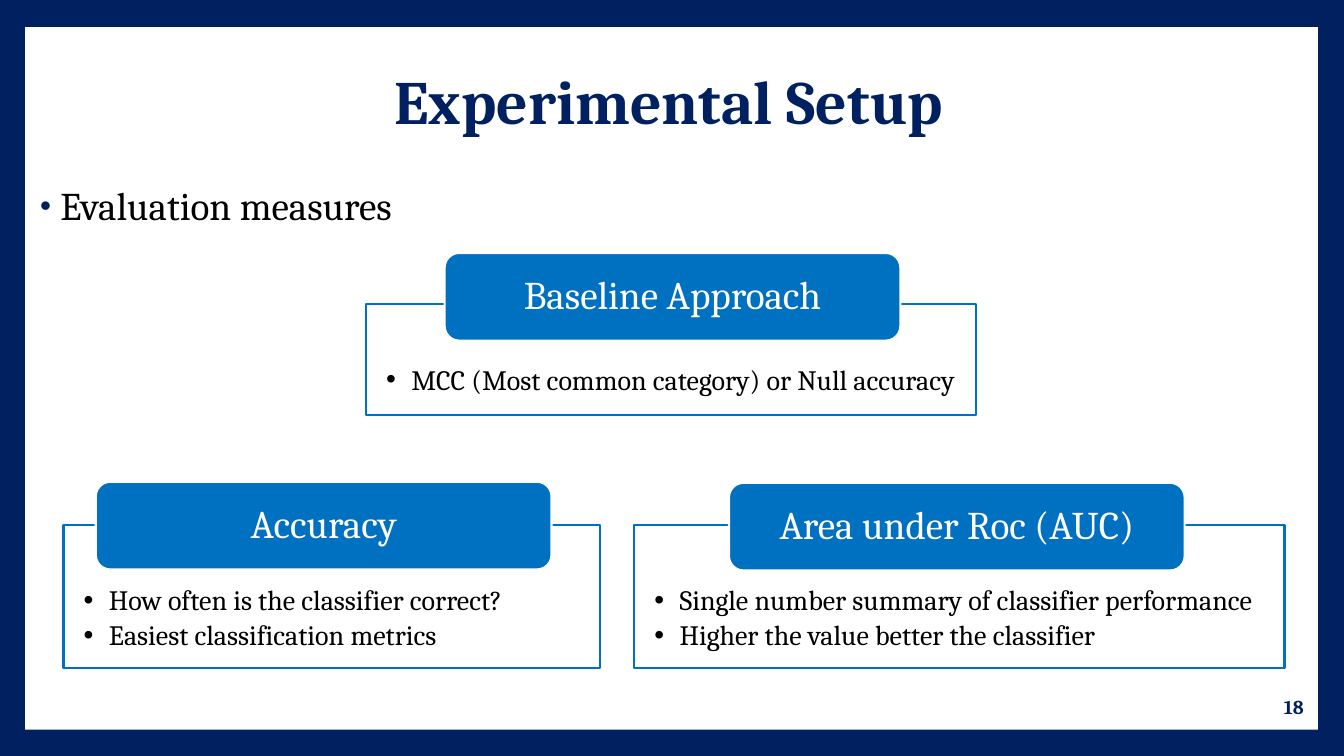
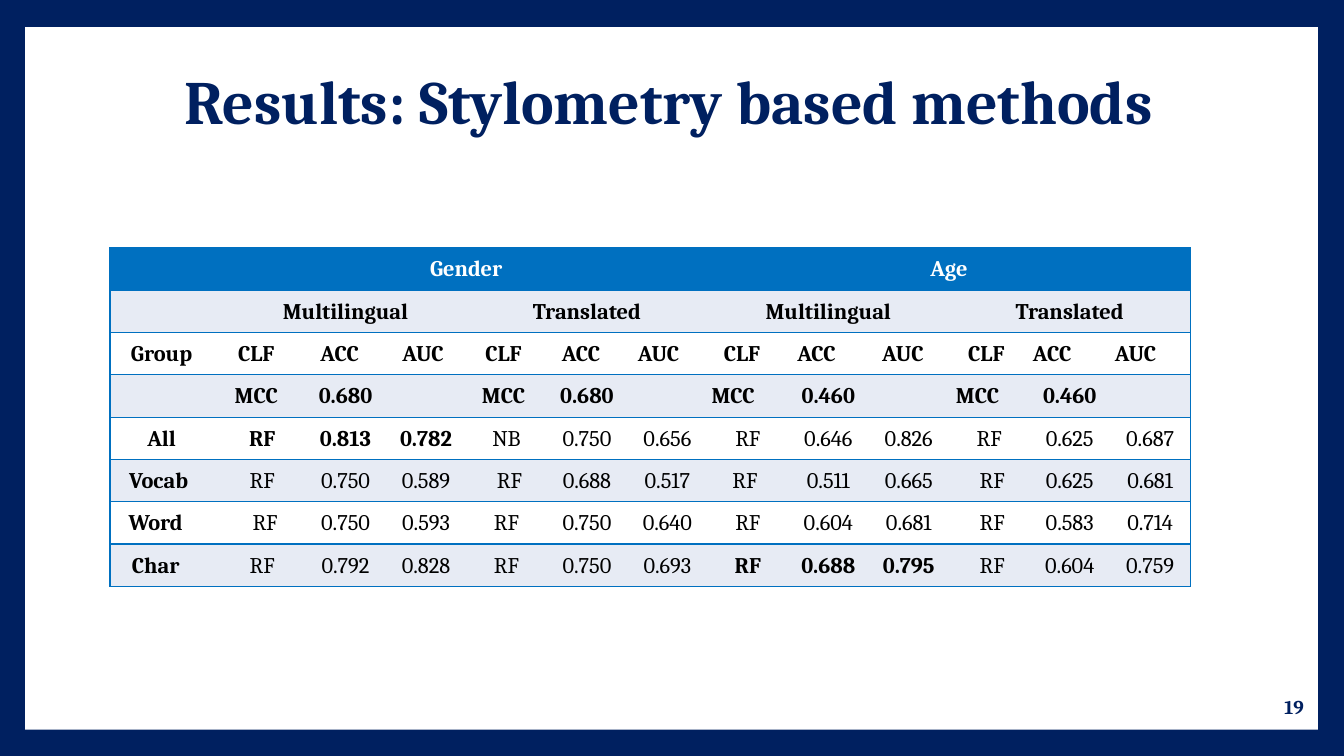
"""Build two slides: evaluation measures and a stylometry results table."""
from dataclasses import dataclass
from typing import Iterable

from lxml.etree import SubElement
from pptx import Presentation
from pptx.dml.color import RGBColor
from pptx.enum.shapes import MSO_SHAPE as SHAPE
from pptx.enum.text import MSO_ANCHOR as ANCHOR, PP_ALIGN as ALIGN
from pptx.oxml.ns import qn
from pptx.util import Inches, Pt

COLORS = {
    "navy": "002060",
    "blue": "0070C0",
    "white": "FFFFFF",
    "black": "000000",
    "band": "E7EBF4",
}
FONT = "Cambria"
NO_GRID_STYLE = "{2D5ABB26-0587-4C30-8999-92F81FD0307C}"
PILL_W, PILL_H = 4.52, 0.87
SPACE_W = 0.058
CELL_MARGIN = 0.01


@dataclass(frozen=True)
class Card:
    title: str
    points: tuple[str, ...]
    box: tuple[float, float, float, float]
    pill: tuple[float, float]


@dataclass(frozen=True)
class Row:
    cells: tuple[str, ...]
    span: int = 1
    bold: Iterable[int] = (0,)
    pads: tuple[int, ...] = (0,) * 13


CARDS = (
    Card("Baseline Approach", ("MCC (Most common category) or Null accuracy",),
         (3.63, 3.02, 6.05, 1.1), (4.41, 2.51)),
    Card("Accuracy",
         ("How often is the classifier correct?", "Easiest classification metrics"),
         (0.63, 5.21, 5.32, 1.42), (0.95, 4.78)),
    Card("Area under Roc (AUC)",
         ("Single number summary of classifier performance",
          "Higher the value better the classifier"),
         (6.29, 5.21, 6.45, 1.42), (7.23, 4.79)),
)

ROWS = (
    Row(("", "Gender", "Age"), 6, range(13)),
    Row(("",) + ("Multilingual", "Translated") * 2, 3, range(13)),
    Row(("Group",) + ("CLF", "ACC", "AUC") * 4, 1, range(13),
        (2, 3, 2, 1, 1, 2, 3, 2, 4, 2, 1, 6, 5)),
    Row(("", "MCC", "0.680", "", "MCC", "0.680", "",
         "MCC", "0.460", "", "MCC", "0.460", ""), 1, range(13),
        (0, 3, 0, 0, 1, 0, 0, 5, 0, 0, 4, 0, 0)),
    Row(("All", "RF", "0.813", "0.782", "NB", "0.750", "0.656",
         "RF", "0.646", "0.826", "RF", "0.625", "0.687"), 1, range(4),
        (2, 1, 0, 0, 0, 0, 0, 0, 0, 0, 0, 0, 0)),
    Row(("Vocab", "RF", "0.750", "0.589", "RF", "0.688", "0.517",
         "RF", "0.511", "0.665", "RF", "0.625", "0.681"),
        pads=(3, 1, 0, 0, -1, 0, 0, 1, 0, 0, -1, 0, 0)),
    Row(("Word", "RF", "0.750", "0.593", "RF", "0.750", "0.640",
         "RF", "0.604", "0.681", "RF", "0.583", "0.714"),
        pads=(4, 0, 0, 0, 0, 0, 0, 0, 0, 0, -1, 0, 0)),
    Row(("Char", "RF", "0.792", "0.828", "RF", "0.750", "0.693",
         "RF", "0.688", "0.795", "RF", "0.604", "0.759"), 1, (0, 7, 8, 9),
        (4, 1, 0, 0, 0, 0, 0, 0, 0, 0, -1, 0, 0)),
)


def rgb(name: str) -> RGBColor:
    return RGBColor.from_string(COLORS[name])


def add_bullet(p, indent: float, color: str, percent: int) -> None:
    pPr = p._p.get_or_add_pPr()
    pPr.set("marL", str(Inches(0.25)))
    pPr.set("indent", str(-Inches(indent)))
    clr = SubElement(pPr, qn("a:buClr"))
    SubElement(clr, qn("a:srgbClr"), val=COLORS[color])
    SubElement(pPr, qn("a:buSzPct"), val=str(percent * 1000))
    SubElement(pPr, qn("a:buFont"), typeface="Arial")
    SubElement(pPr, qn("a:buChar"), char="•")


def write_text(tf, *lines: str, size: float, color: str = "black", bold: bool = False,
               align=ALIGN.LEFT, spacing: float = 0.9, after: float = 0,
               bullet: tuple[float, str, int] | None = None) -> None:
    for i, line in enumerate(lines):
        p = tf.add_paragraph() if i else tf.paragraphs[0]
        p.alignment, p.line_spacing = align, spacing
        p.space_before, p.space_after = Pt(0), Pt(after)
        if bullet:
            add_bullet(p, *bullet)
        r = p.add_run()
        r.text = line
        r.font.name, r.font.size, r.font.bold = FONT, Pt(size), bold
        r.font.color.rgb = rgb(color)


def set_frame(tf, anchor, margins: tuple[float, float, float, float]) -> None:
    tf.word_wrap = True
    tf.vertical_anchor = anchor
    tf.margin_left, tf.margin_top, tf.margin_right, tf.margin_bottom = map(Inches, margins)


def add_text(s, box: tuple[float, ...], text: str, anchor=ANCHOR.MIDDLE, **fmt) -> None:
    tf = s.shapes.add_textbox(*map(Inches, box)).text_frame
    set_frame(tf, anchor, (0.1, 0.05, 0.1, 0.05))
    write_text(tf, text, **fmt)


def add_block(s, kind, box: tuple[float, ...], fill: str, line: str | None = None):
    sp = s.shapes.add_shape(kind, *map(Inches, box))
    sp.shadow.inherit = False
    sp.fill.solid()
    sp.fill.fore_color.rgb = rgb(fill)
    if line:
        sp.line.color.rgb = rgb(line)
        sp.line.width = Pt(1.5)
    else:
        sp.line.fill.background()
    return sp


def add_slide(prs, title: str, number: int):
    s = prs.slides.add_slide(prs.slide_layouts[6])
    add_block(s, SHAPE.RECTANGLE, (0.25, 0.27, 12.82, 6.97), "white")
    add_text(s, (0.25, 0.4, 12.77, 1.28), title, size=44, color="navy", bold=True,
             align=ALIGN.CENTER)
    add_text(s, (11.16, 6.81, 1.87, 0.4), str(number), size=14, color="navy", bold=True,
             align=ALIGN.RIGHT, spacing=1.0)
    return s


def add_card(s, card: Card) -> None:
    box = add_block(s, SHAPE.RECTANGLE, card.box, "white", "blue")
    set_frame(box.text_frame, ANCHOR.TOP, (0.2, 0.61, 0, 0.16))
    write_text(box.text_frame, *card.points, size=20, after=3, bullet=(0.25, "black", 100))
    pill = add_block(s, SHAPE.ROUNDED_RECTANGLE, (*card.pill, PILL_W, PILL_H), "blue", "white")
    set_frame(pill.text_frame, ANCHOR.MIDDLE, (0.21, 0.04, 0.21, 0.04))
    write_text(pill.text_frame, card.title, size=28, color="white", align=ALIGN.CENTER)


def style_cell(cell, fill: str, edges: str) -> None:
    tcPr = cell._tc.get_or_add_tcPr()
    for edge in edges:
        ln = SubElement(tcPr, qn(f"a:ln{edge}"), w=str(Pt(1)))
        solid = SubElement(ln, qn("a:solidFill"))
        SubElement(solid, qn("a:srgbClr"), val=COLORS["blue"])
    cell.fill.solid()
    cell.fill.fore_color.rgb = rgb(fill)
    cell.vertical_anchor = ANCHOR.MIDDLE
    cell.margin_left = cell.margin_right = cell.margin_top = Inches(CELL_MARGIN)
    cell.margin_bottom = 0


def add_results(s, rows: tuple[Row, ...]) -> None:
    n_cols = 13
    first_w, row_h, width = 1.14, 0.42, 10.72
    frame = s.shapes.add_table(len(rows), n_cols, Inches(1.09), Inches(2.46),
                               Inches(width), Inches(row_h * len(rows)))
    table = frame.table
    table._tbl.tblPr.find(qn("a:tableStyleId")).text = NO_GRID_STYLE
    for i, col in enumerate(table.columns):
        col.width = Inches((width - first_w) / (n_cols - 1) if i else first_w)
    for y, row in enumerate(rows):
        table.rows[y].height = Inches(row_h)
        fill = "blue" if y == 0 else "band" if y % 2 else "white"
        starts = [0, *range(1, n_cols, row.span)]
        for x in range(n_cols):
            at_right = x == n_cols - 1 or (x in starts[1:] and x + row.span == n_cols)
            edges = ("L" if x == 0 else "") + ("R" if at_right else "") + "TB"
            style_cell(table.cell(y, x), fill, edges)
        for x, text in zip(starts, row.cells):
            cell = table.cell(y, x)
            if x and row.span > 1:
                cell.merge(table.cell(y, x + row.span - 1))
            pad = row.pads[x] * SPACE_W
            cell.margin_left = Inches(CELL_MARGIN + max(-pad, 0))
            cell.margin_right = Inches(CELL_MARGIN + max(pad, 0))
            write_text(cell.text_frame, text, size=16, bold=x in row.bold, spacing=1.0,
                       color="black" if y else "white", align=ALIGN.CENTER)


def main() -> None:
    prs = Presentation()
    prs.slide_width, prs.slide_height = Inches(13.33), Inches(7.5)
    background = prs.slide_master.background.fill
    background.solid()
    background.fore_color.rgb = rgb("navy")

    s = add_slide(prs, "Experimental Setup", 18)
    add_text(s, (0.25, 1.8, 12.77, 4.86), "Evaluation measures", ANCHOR.TOP, size=28,
             bullet=(0.2, "navy", 80))
    for card in CARDS:
        add_card(s, card)

    s = add_slide(prs, "Results: Stylometry based methods", 19)
    add_results(s, ROWS)
    prs.save("out.pptx")


if __name__ == "__main__":
    main()
